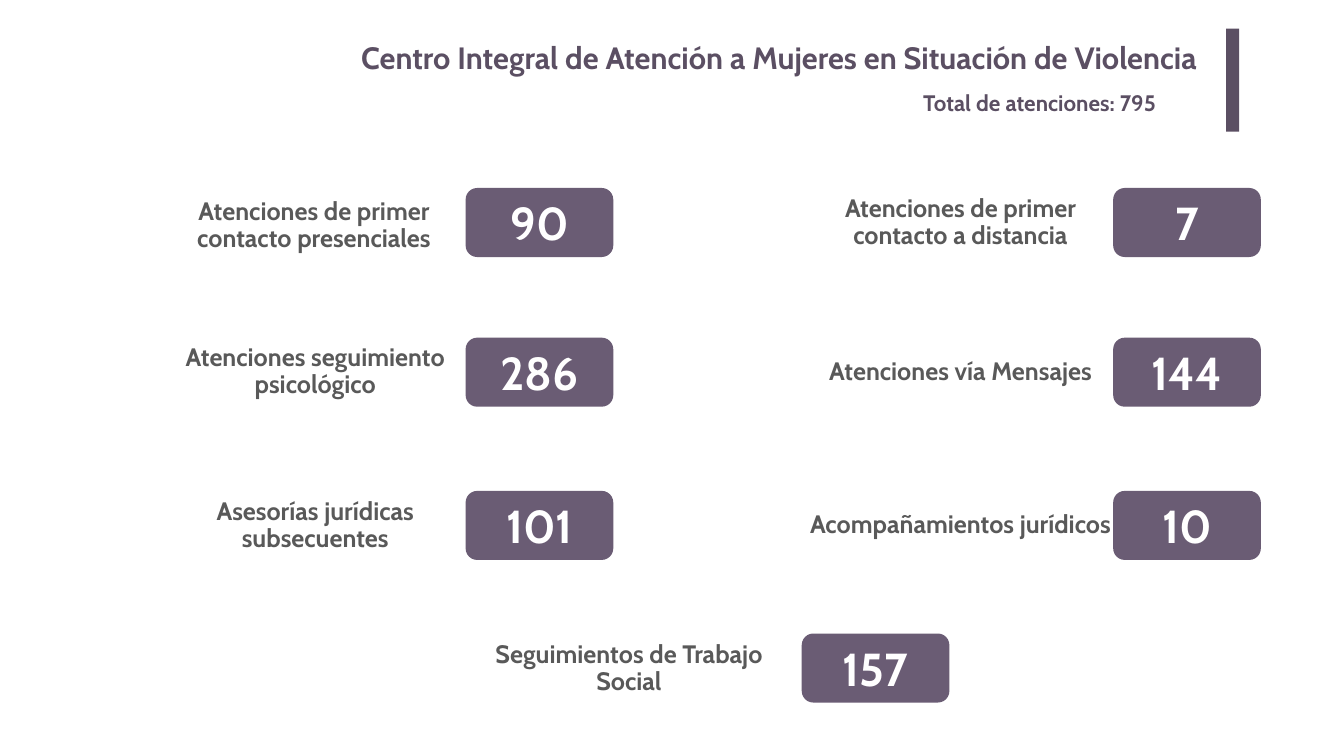
from dataclasses import dataclass

import pptx
import pptx.dml.color
import pptx.enum.shapes
import pptx.enum.text
import pptx.util

Inches = pptx.util.Inches
ALIGN = pptx.enum.text.PP_ALIGN
ANCHOR = pptx.enum.text.MSO_ANCHOR
SHAPE = pptx.enum.shapes.MSO_SHAPE


@dataclass(frozen=True)
class Theme:
    font: str = "Cabin"
    heading: str = "5B4F63"
    badge: str = "6A5C74"
    label: str = "595959"
    white: str = "FFFFFF"
    title_size: int = 44
    subtitle_size: int = 32
    label_size: int = 36
    number_size: int = 66


@dataclass(frozen=True)
class Box:
    left: float
    top: float
    width: float
    height: float

    def emu(self) -> tuple:
        return tuple(Inches(v) for v in (self.left, self.top, self.width, self.height))


@dataclass(frozen=True)
class Indicator:
    label: str
    value: int
    label_box: Box
    badge_left: float
    badge_top: float


THEME = Theme()
BADGE_WIDTH, BADGE_HEIGHT = 2.93, 1.37
LEFT, RIGHT, MIDDLE = 9.24, 22.09, 15.91
ROWS = (3.73, 6.7, 9.74, 12.57)

INDICATORS = (
    Indicator("Atenciones de primer contacto presenciales", 90,
              Box(3.49, 3.8, 5.48, 1.37), LEFT, ROWS[0]),
    Indicator("Atenciones de primer contacto a distancia", 7,
              Box(16.48, 3.81, 5.16, 1.21), RIGHT, ROWS[0]),
    Indicator("Atenciones seguimiento psicológico", 286,
              Box(2.35, 7.12, 7.81, 0.53), LEFT, ROWS[1]),
    Indicator("Atenciones vía Mensajes", 144,
              Box(16.1, 6.86, 5.92, 1.05), RIGHT, ROWS[1]),
    Indicator("Asesorías jurídicas subsecuentes", 101,
              Box(3.23, 10.03, 6.05, 0.8), LEFT, ROWS[2]),
    Indicator("Acompañamientos jurídicos", 10,
              Box(15.83, 10.11, 6.46, 0.64), RIGHT, ROWS[2]),
    Indicator("Seguimientos de Trabajo Social", 157,
              Box(9.24, 12.57, 6.48, 1.41), MIDDLE, ROWS[3]),
)


def rgb(color: str) -> pptx.dml.color.RGBColor:
    return pptx.dml.color.RGBColor.from_string(color)


def write(sp, text: str, size: int, color: str, align=ALIGN.CENTER,
          anchor=ANCHOR.MIDDLE, spacing: float = 1.0, inset: float = 0.1) -> None:
    tf = sp.text_frame
    tf.word_wrap = True
    tf.auto_size = pptx.enum.text.MSO_AUTO_SIZE.NONE
    tf.vertical_anchor = anchor
    tf.margin_left = tf.margin_right = Inches(inset)
    tf.margin_top = tf.margin_bottom = Inches(inset / 2)
    p = tf.paragraphs[0]
    p.alignment = align
    p.line_spacing = spacing
    p.space_before = pptx.util.Pt(0)
    r = p.add_run()
    r.text = text
    r.font.name = THEME.font
    r.font.size = pptx.util.Pt(size)
    r.font.bold = True
    r.font.color.rgb = rgb(color)


def add_block(s, kind, box: Box, color: str):
    sp = s.shapes.add_shape(kind, *box.emu())
    sp.shadow.inherit = False
    sp.fill.solid()
    sp.fill.fore_color.rgb = rgb(color)
    sp.line.fill.background()
    return sp


def add_heading(s) -> None:
    sp = s.shapes.title
    sp.left, sp.top, sp.width, sp.height = Box(3.66, 0.67, 20.3, 1.02).emu()
    write(sp, "Centro Integral de Atención a Mujeres en Situación de Violencia",
          THEME.title_size, THEME.heading, ALIGN.RIGHT, ANCHOR.TOP, inset=0.2)
    add_block(s, SHAPE.RECTANGLE, Box(24.33, 0.57, 0.26, 2.04), THEME.heading)
    sp = s.shapes.add_textbox(*Box(18.22, 1.71, 5.92, 0.64).emu())
    write(sp, "Total de atenciones: 795", THEME.subtitle_size, THEME.heading,
          ALIGN.LEFT, ANCHOR.TOP)


def add_indicator(s, item: Indicator) -> None:
    sp = s.shapes.add_textbox(*item.label_box.emu())
    write(sp, item.label, THEME.label_size, THEME.label, spacing=0.9)
    box = Box(item.badge_left, item.badge_top, BADGE_WIDTH, BADGE_HEIGHT)
    sp = add_block(s, SHAPE.ROUNDED_RECTANGLE, box, THEME.badge)
    write(sp, str(item.value), THEME.number_size, THEME.white)


def main() -> None:
    prs = pptx.Presentation()
    prs.slide_width, prs.slide_height = Inches(26.67), Inches(15)
    s = prs.slides.add_slide(prs.slide_layouts.get_by_name("Title Only"))
    s.background.fill.solid()
    s.background.fill.fore_color.rgb = rgb(THEME.white)
    add_heading(s)
    for item in INDICATORS:
        add_indicator(s, item)
    prs.save("out.pptx")


if __name__ == "__main__":
    main()
